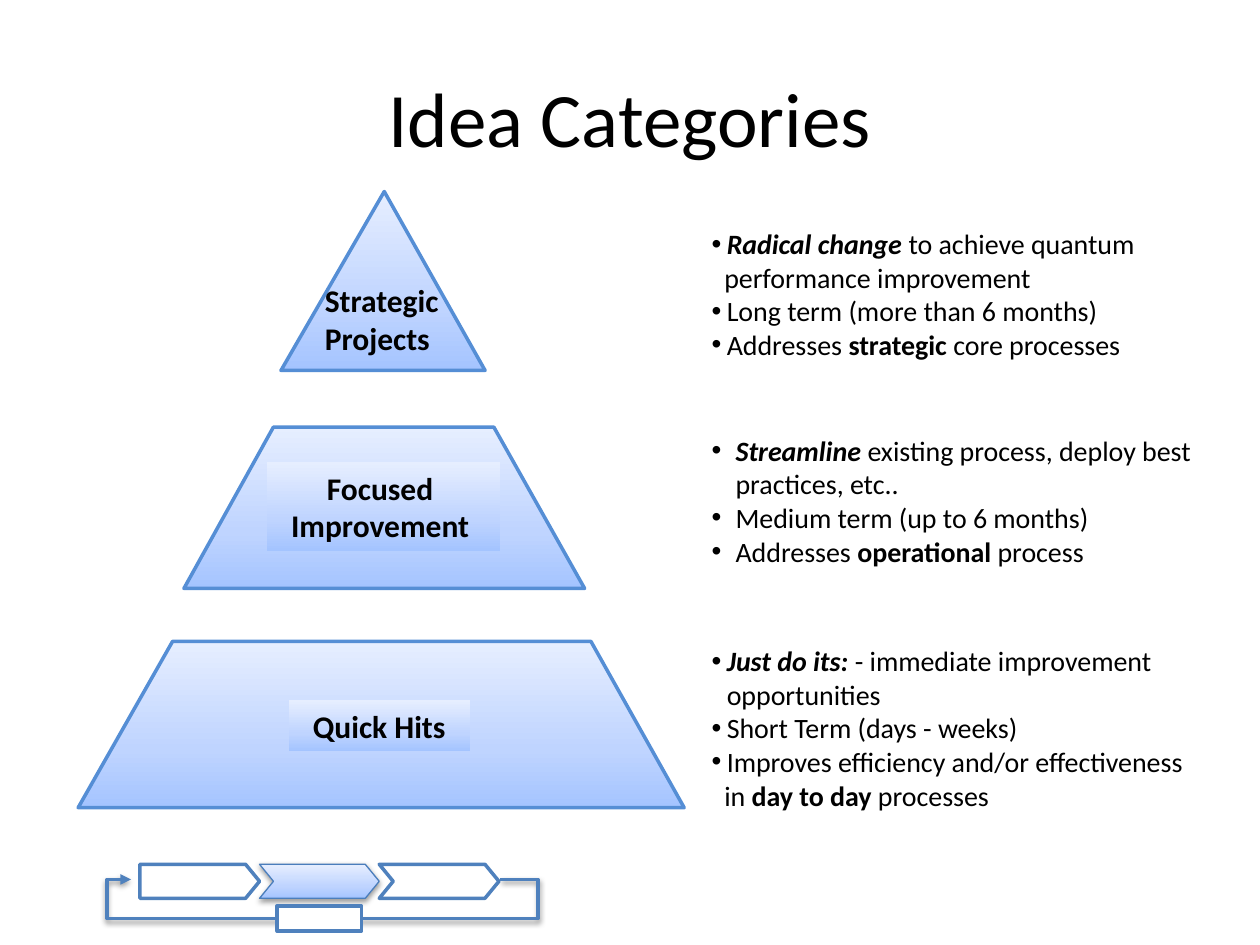
from pptx import Presentation
from pptx.dml.color import RGBColor
from pptx.enum.shapes import MSO_SHAPE as Preset
from pptx.enum.text import MSO_ANCHOR as Anchor, PP_ALIGN as Align
from pptx.oxml.ns import qn
from pptx.util import Inches, Pt
from lxml.etree import SubElement

FONT = "Calibri"
BLACK, WHITE = "000000", "FFFFFF"
TIER_LINE, FLOW_LINE, ACTIVE_LINE = "558ED5", "4F81BD", "4B7EBC"
GRADIENT = [(0, "A4C4FF"), (35, "BFD4FF"), (100, "E6EEFF")]

TITLE = "Idea Categories"
NOTE_LEFT, NOTE_WIDTH, CONTINUED = 5.55, 4.23, 0.1
NOTES = [
    (1.75, 1.21, 0.12, [
        (True, [("Radical change ", "bi"), ("to achieve quantum", "")]),
        (False, [("performance improvement", "")]),
        (True, [("Long term (more than 6 months)", "")]),
        (True, [("Addresses ", ""), ("strategic", "b"), (" core processes", "")]),
    ]),
    (3.39, 1.18, 0.19, [
        (True, [("Streamline", "bi"),
                (" existing process, deploy best practices, etc..", "")]),
        (True, [("Medium term (up to 6 months)", "")]),
        (True, [("Addresses ", ""), ("operational ", "b"), ("process", "")]),
    ]),
    (5.06, 1.45, 0.12, [
        (True, [("Just do its: ", "bi"), ("- immediate improvement opportunities", "")]),
        (True, [("Short Term (days - weeks)", "")]),
        (True, [("Improves efficiency and/or effectiveness", "")]),
        (False, [("in ", ""), ("day to day ", "b"), ("processes", "")]),
    ]),
]
TIERS = [
    ([(1.37, 5.09), (4.69, 5.09), (5.43, 6.41), (0.62, 6.41)],
     (2.29, 5.56, 1.44, 0.4), ["Quick Hits"], True),
    ([(2.17, 3.39), (3.92, 3.39), (4.64, 4.67), (1.46, 4.67)],
     (2.12, 3.67, 1.85, 0.7), ["Focused ", "Improvement "], True),
    ([(3.05, 1.52), (3.85, 2.94), (2.23, 2.94)],
     (2.48, 2.18, 1.5, 0.71), ["Strategic", "Projects"], False),
]
STEP_LEFT, STEP_TOP, STEP_WIDTH, STEP_HEIGHT = 1.11, 6.86, 0.95, 0.27
STEPS = [(Preset.PENTAGON, False), (Preset.CHEVRON, True), (Preset.CHEVRON, False)]
LOOP = [(3.97, 6.98), (4.27, 6.98), (4.27, 7.29), (0.85, 7.29), (0.85, 6.98), (1.04, 6.98)]
LOOP_BOX = (2.2, 7.19, 0.67, 0.2)


def color(value):
    return RGBColor.from_string(value)


def paint(shape, fill=None, line=None, width=2):
    shape.shadow.inherit = False
    if fill is None:
        shape.fill.background()
    elif isinstance(fill, str):
        shape.fill.solid()
        shape.fill.fore_color.rgb = color(fill)
    else:
        shape.fill.gradient()
        shape.fill.gradient_angle = 90
        stops = shape._element.spPr.find(qn("a:gradFill")).find(qn("a:gsLst"))
        for stop in list(stops):
            stops.remove(stop)
        for position, value in fill:
            stop = SubElement(stops, qn("a:gs"), pos=str(position * 1000))
            SubElement(stop, qn("a:srgbClr"), val=value)
    if line:
        shape.line.color.rgb = color(line)
        shape.line.width = Pt(width)
    else:
        shape.line.fill.background()


def cast_shadow(shape):
    effects = shape._element.spPr.find(qn("a:effectLst"))
    shadow = SubElement(effects, qn("a:outerShdw"), blurRad=str(Pt(3.1)),
                        dist=str(Pt(1.6)), dir="5400000", rotWithShape="0")
    tint = SubElement(shadow, qn("a:srgbClr"), val=BLACK)
    SubElement(tint, qn("a:alpha"), val="38000")


def add_box(page, place, preset=None):
    left, top, width, height = map(Inches, place)
    if preset is None:
        return page.shapes.add_textbox(left, top, width, height)
    return page.shapes.add_shape(preset, left, top, width, height)


def add_outline(page, points, close):
    corners = [(Inches(x), Inches(y)) for x, y in points]
    builder = page.shapes.build_freeform(*corners[0])
    builder.add_line_segments(corners[1:], close=close)
    return builder.convert_to_shape()


def write(box, lines, size, align=Align.LEFT, anchor=Anchor.TOP, wrap=True):
    frame = box.text_frame
    frame.word_wrap = wrap
    frame.vertical_anchor = anchor
    for index, runs in enumerate(lines):
        para = frame.add_paragraph() if index else frame.paragraphs[0]
        para.alignment = align
        for text, style in runs:
            span = para.add_run()
            span.text = text
            span.font.name = FONT
            span.font.size = Pt(size)
            span.font.bold = "b" in style
            span.font.italic = "i" in style
            span.font.color.rgb = color(BLACK)
    return frame.paragraphs


def indent(para, margin, bullet):
    props = para._p.get_or_add_pPr()
    props.set("marL", str(Inches(margin)))
    if bullet:
        props.set("indent", str(-Inches(margin)))
        SubElement(props, qn("a:buFont"), typeface="Arial")
        SubElement(props, qn("a:buChar"), char="•")


def add_notes(page):
    for top, height, margin, lines in NOTES:
        box = add_box(page, (NOTE_LEFT, top, NOTE_WIDTH, height))
        paras = write(box, [runs for _, runs in lines], 16)
        for para, (bullet, _) in zip(paras, lines):
            indent(para, margin if bullet else CONTINUED, bullet)


def add_pyramid(page):
    for points, place, words, plated in TIERS:
        paint(add_outline(page, points, True), GRADIENT, TIER_LINE)
        label = add_box(page, place, Preset.RECTANGLE if plated else None)
        if plated:
            paint(label, GRADIENT)
        write(label, [[(word, "b")] for word in words], 18,
              Align.CENTER if plated else Align.LEFT, wrap=not plated)


def add_flow(page):
    for index, (preset, active) in enumerate(STEPS):
        left = STEP_LEFT + index * STEP_WIDTH
        step = add_box(page, (left, STEP_TOP, STEP_WIDTH, STEP_HEIGHT), preset)
        step.adjustments[0] = 0.41
        if active:
            paint(step, GRADIENT, ACTIVE_LINE, 0.75)
            cast_shadow(step)
        else:
            paint(step, WHITE, FLOW_LINE)
    loop = add_outline(page, LOOP, False)
    paint(loop, None, FLOW_LINE)
    cast_shadow(loop)
    SubElement(loop.line._get_or_add_ln(), qn("a:tailEnd"), type="triangle")
    paint(add_box(page, LOOP_BOX, Preset.RECTANGLE), WHITE, FLOW_LINE)


def main():
    deck = Presentation()
    deck.slide_width, deck.slide_height = Inches(10), Inches(7.5)
    page = deck.slides.add_slide(deck.slide_layouts[6])
    title = add_box(page, (0.5, 0.3, 9, 1.25))
    write(title, [[(TITLE, "")]], 44, Align.CENTER, Anchor.MIDDLE)
    add_notes(page)
    add_pyramid(page)
    add_flow(page)
    deck.save("out.pptx")


if __name__ == "__main__":
    main()
